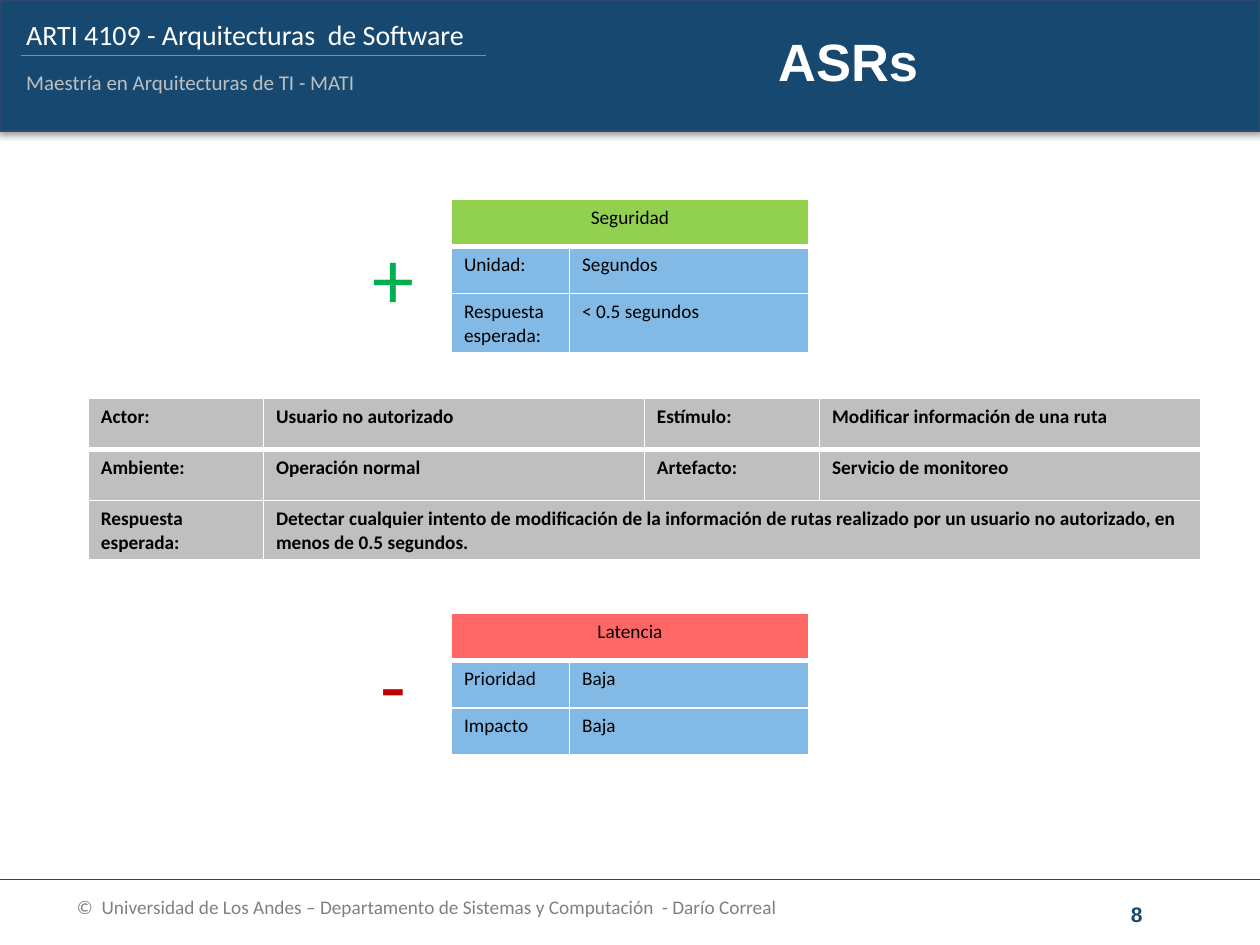
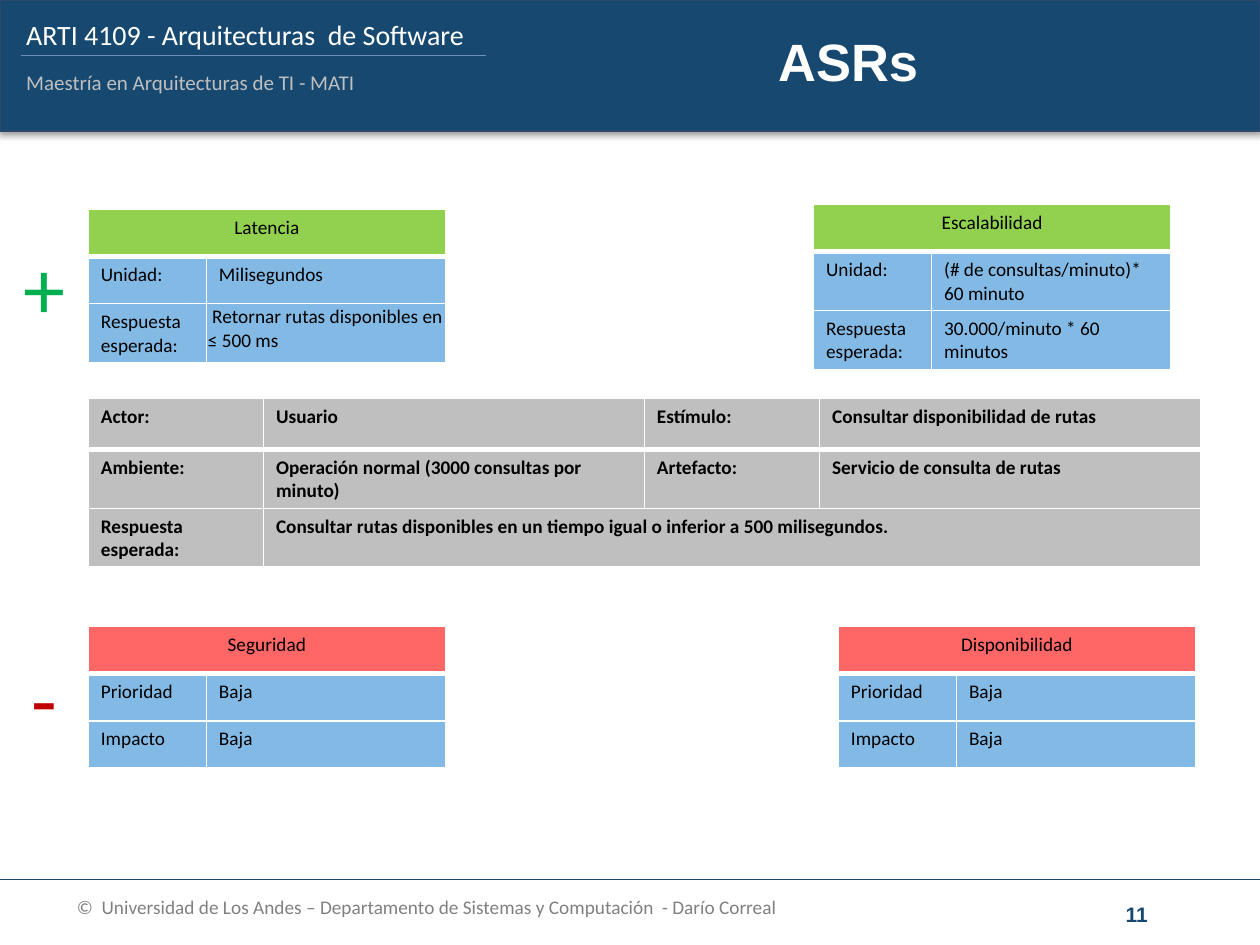
from lxml.etree import SubElement
from pptx import Presentation
from pptx.dml.color import RGBColor
from pptx.enum.shapes import MSO_CONNECTOR, MSO_SHAPE
from pptx.enum.text import MSO_ANCHOR, MSO_AUTO_SIZE, PP_ALIGN
from pptx.oxml.ns import qn
from pptx.util import Cm, Pt

# Colours
NAVY = RGBColor(0x17, 0x49, 0x70)
NAVY_EDGE = RGBColor(0x2C, 0x48, 0x6D)
RULE_BLUE = RGBColor(0x6B, 0x8F, 0xC0)
WHITE = RGBColor(0xFF, 0xFF, 0xFF)
BLACK = RGBColor(0, 0, 0)
SILVER = RGBColor(0xBF, 0xBF, 0xBF)
GREY = RGBColor(0x80, 0x80, 0x80)
SKY = RGBColor(0x83, 0xBA, 0xE5)
FAVOURED = RGBColor(0x92, 0xD0, 0x50)
SACRIFICED = RGBColor(0xFF, 0x66, 0x66)
PLUS_GREEN = RGBColor(0x00, 0xB0, 0x50)
MINUS_RED = RGBColor(0xC0, 0x00, 0x00)

# Sizes in centimetres
WIDTH, HEIGHT = 25.4, 19.05
SCENARIO_LEFT, SCENARIO_TOP = 1.78, 8.03
SCENARIO_COLUMNS = [3.53, 7.68, 3.53, 7.68]
QUALITY_COLUMNS = [2.38, 4.82]
LOW_PRIORITY = [["Prioridad", "Baja"], ["Impacto", "Baja"]]


def write_text(frame, text, size=11, color=BLACK, font="Calibri", bold=False,
               align=PP_ALIGN.LEFT, anchor=MSO_ANCHOR.TOP):
    frame.vertical_anchor = anchor
    paragraph = frame.paragraphs[0]
    paragraph.alignment = align
    run = paragraph.add_run()
    run.text = text
    run.font.size, run.font.name, run.font.bold = Pt(size), font, bold
    run.font.color.rgb = color


def set_border(cell, side, points):
    border = SubElement(cell._tc.get_or_add_tcPr(), qn(f"a:ln{side}"), w=str(Pt(points)))
    fill = SubElement(border, qn("a:solidFill"))
    SubElement(fill, qn("a:srgbClr"), val=str(WHITE))


class AsrDeck:
    def __init__(self):
        self.presentation = Presentation()
        self.presentation.slide_width = Cm(WIDTH)
        self.presentation.slide_height = Cm(HEIGHT)
        self.slide = None

    def start_slide(self, title, number):
        self.slide = self.presentation.slides.add_slide(self.presentation.slide_layouts[5])
        # Header band
        self.line(0, 17.73, WIDTH, NAVY, 0.75)
        self.band(2.64)
        self.text("ARTI 4109 - Arquitecturas  de Software", 0.28, 0.23, 11.76, 0.94,
                  size=16, color=WHITE)
        self.text("Maestría en Arquitecturas de TI - MATI", 0.28, 1.27, 7.24, 0.76,
                  wrap=False, size=12, color=SILVER)
        self.line(0.43, 1.12, 9.8, RULE_BLUE, 1)
        self.title(title)
        # Footer
        self.text(str(number), 21.11, 17.91, 3.61, 1.02, size=12, color=NAVY, font="Arial",
                  bold=True, align=PP_ALIGN.CENTER, anchor=MSO_ANCHOR.MIDDLE)
        self.text("©  Universidad de Los Andes – Departamento de Sistemas y Computación"
                  "  - Darío Correal", 1.3, 17.93, 19.2, 1.02, color=GREY)

    def title(self, text):
        title = self.slide.shapes.title
        title.left, title.top, title.width, title.height = Cm(12.5), Cm(0.53), Cm(9.2), Cm(1.4)
        self.slide.shapes._spTree.append(title._element)  # in front of the band
        write_text(title.text_frame, text, size=30, color=WHITE, font="Arial", bold=True,
                   align=PP_ALIGN.CENTER, anchor=MSO_ANCHOR.MIDDLE)

    def band(self, height):
        band = self.slide.shapes.add_shape(MSO_SHAPE.RECTANGLE, 0, 0, Cm(WIDTH), Cm(height))
        band.fill.solid()
        band.fill.fore_color.rgb = NAVY
        band.line.color.rgb = NAVY_EDGE
        band.line.width = Pt(0.75)
        band.shadow.inherit = False
        effects = band._element.spPr.find(qn("a:effectLst"))
        shadow = SubElement(effects, qn("a:outerShdw"), blurRad=str(Pt(3.1)),
                            dist=str(Pt(1.8)), dir="5400000", rotWithShape="0")
        shade = SubElement(shadow, qn("a:srgbClr"), val=str(BLACK))
        SubElement(shade, qn("a:alpha"), val="35000")

    def line(self, left, top, right, color, points):
        rule = self.slide.shapes.add_connector(
            MSO_CONNECTOR.STRAIGHT, Cm(left), Cm(top), Cm(right), Cm(top))
        rule.line.color.rgb = color
        rule.line.width = Pt(points)
        SubElement(rule._element.spPr, qn("a:effectLst"))

    def text(self, text, left, top, width, height, wrap=True, **text_format):
        box = self.slide.shapes.add_textbox(Cm(left), Cm(top), Cm(width), Cm(height))
        box.text_frame.word_wrap = wrap
        if not wrap:
            box.text_frame.auto_size = MSO_AUTO_SIZE.SHAPE_TO_FIT_TEXT
        write_text(box.text_frame, text, **text_format)

    def table(self, rows, left, top, columns, row_height, fills, bold=False):
        """Draw rows of text; the last cell of a short row spans the rest."""
        table = self.slide.shapes.add_table(
            len(rows), len(columns), Cm(left), Cm(top),
            Cm(sum(columns)), Cm(row_height * len(rows))).table
        table.first_row = table.horz_banding = False
        for column, width in zip(table.columns, columns):
            column.width = Cm(width)
        for r, (row, fill) in enumerate(zip(rows, fills)):
            table.rows[r].height = Cm(row_height)
            for c in range(len(columns)):
                cell = table.cell(r, c)
                for side in "LRTB":
                    under_header = (r, side) in ((0, "B"), (1, "T"))
                    set_border(cell, side, 3 if under_header else 1)
                cell.fill.solid()
                cell.fill.fore_color.rgb = fill
            if len(row) < len(columns):
                table.cell(r, len(row) - 1).merge(table.cell(r, len(columns) - 1))
            for c, text in enumerate(row):
                write_text(table.cell(r, c).text_frame, text, bold=bold,
                           align=PP_ALIGN.CENTER if len(row) == 1 else PP_ALIGN.LEFT)
        return table

    def scenario(self, actor, stimulus, environment, artifact, response):
        rows = [["Actor:", actor, "Estímulo:", stimulus],
                ["Ambiente:", environment, "Artefacto:", artifact],
                ["Respuesta esperada:", response]]
        self.table(rows, SCENARIO_LEFT, SCENARIO_TOP, SCENARIO_COLUMNS, 1.03,
                   [SILVER] * 3, bold=True)

    def favoured(self, quality, unit, response, left, top):
        rows = [[quality], ["Unidad:", unit], ["Respuesta esperada:", response]]
        return self.table(rows, left, top, QUALITY_COLUMNS, 0.95, [FAVOURED, SKY, SKY])

    def sacrificed(self, quality, left, top):
        self.table([[quality]] + LOW_PRIORITY, left, top, QUALITY_COLUMNS, 0.95,
                   [SACRIFICED, SKY, SKY])

    def signs(self, left, plus_top, minus_top):
        self.text("+", left, plus_top, 1.37, 2.31, wrap=False, size=48, color=PLUS_GREEN)
        self.text("-", left + 0.17, minus_top, 1.04, 2.31, wrap=False, size=48, color=MINUS_RED)


def main():
    deck = AsrDeck()

    # Security scenario
    deck.start_slide("ASRs", 8)
    deck.scenario("Usuario no autorizado", "Modificar información de una ruta",
                  "Operación normal", "Servicio de monitoreo",
                  "Detectar cualquier intento de modificación de la información de rutas "
                  "realizado por un usuario no autorizado, en menos de 0.5 segundos.")
    deck.favoured("Seguridad", "Segundos", "< 0.5 segundos", 9.1, 4.02)
    deck.signs(7.26, 4.42, 12.62)
    deck.sacrificed("Latencia", 9.1, 12.37)

    # Latency and scalability scenario
    deck.start_slide("ASRs", 11)
    deck.scenario("Usuario", "Consultar disponibilidad de rutas",
                  "Operación normal (3000 consultas por minuto)",
                  "Servicio de consulta de rutas",
                  "Consultar rutas disponibles en un tiempo igual o inferior a "
                  "500 milisegundos.")
    latency = deck.favoured("Latencia", "Milisegundos",
                            " Retornar rutas disponibles en ≤ 500 ms", SCENARIO_LEFT, 4.22)
    latency_response = latency.cell(2, 1)
    latency_response.margin_left = latency_response.margin_right = Cm(0.03)
    latency_response.margin_top, latency_response.margin_bottom = Cm(0.03), 0
    deck.favoured("Escalabilidad", "(# de consultas/minuto)* 60 minuto",
                  "30.000/minuto * 60 minutos", 16.4, 4.12)
    deck.signs(0.22, 4.62, 12.9)
    deck.sacrificed("Seguridad", SCENARIO_LEFT, 12.63)
    deck.sacrificed("Disponibilidad", 16.9, 12.63)

    deck.presentation.save("out.pptx")


if __name__ == "__main__":
    main()
